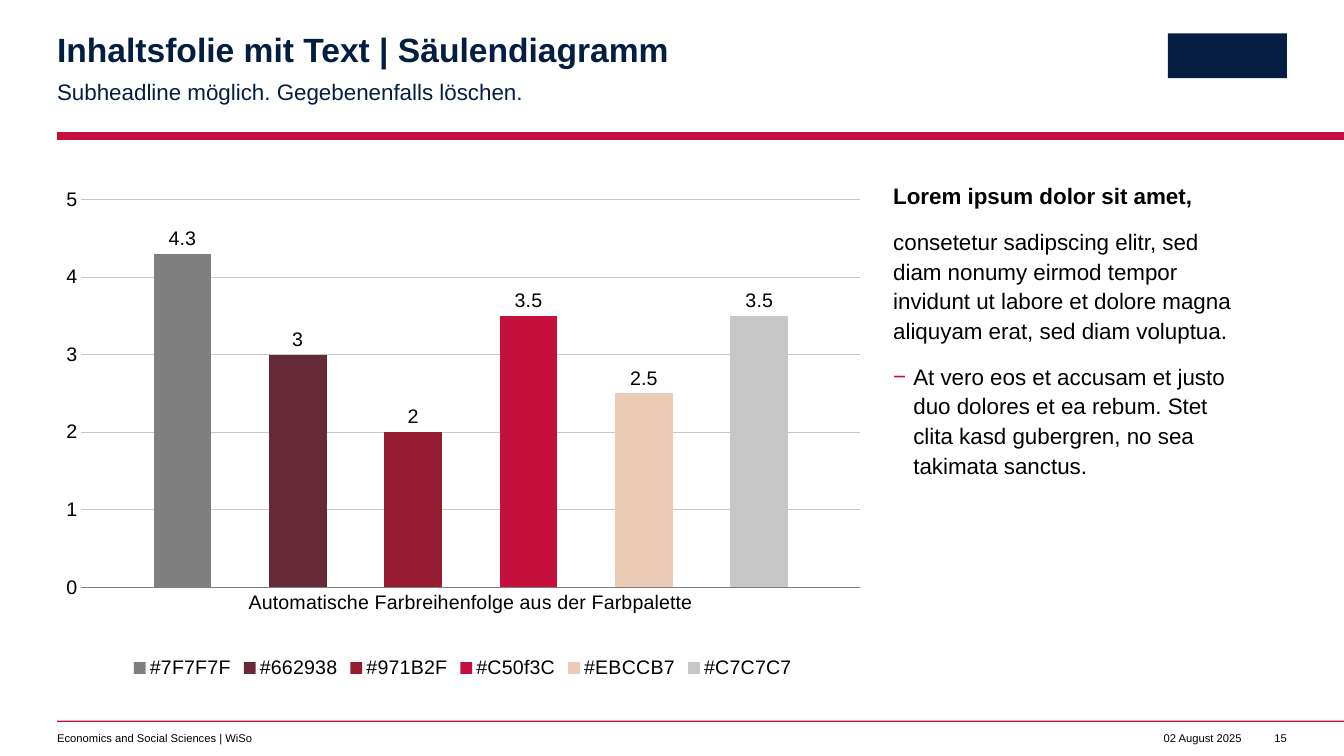
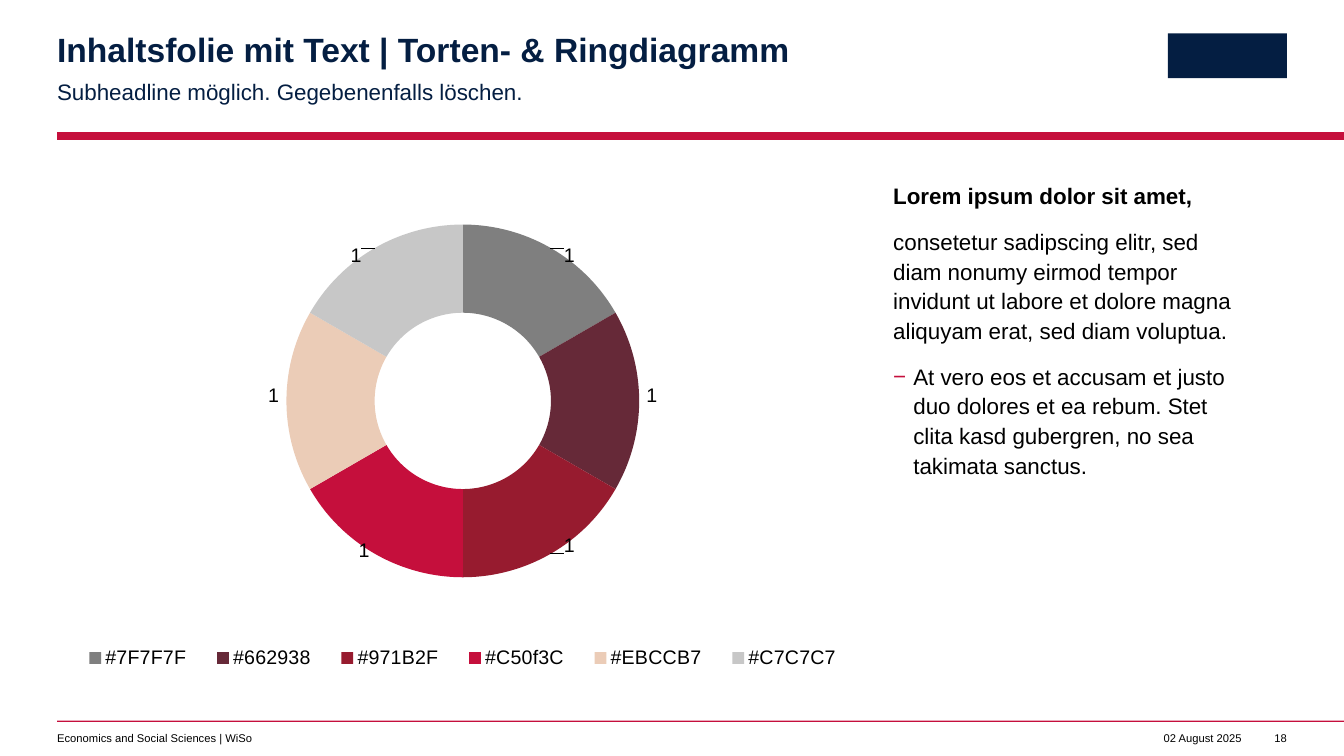
from dataclasses import dataclass
from typing import Callable, Optional

import lxml.etree
import pptx
import pptx.chart.chart
import pptx.chart.data
import pptx.dml.color
import pptx.enum.chart
import pptx.enum.shapes
import pptx.enum.text
import pptx.oxml
import pptx.oxml.ns
import pptx.presentation
import pptx.slide
import pptx.text.text
import pptx.util

Pt = pptx.util.Pt
RGBColor = pptx.dml.color.RGBColor
Align = pptx.enum.text.PP_ALIGN
ChartType = pptx.enum.chart.XL_CHART_TYPE

# Shared style
FONT = "Arial"
NAVY = RGBColor(0x04, 0x1E, 0x42)
RED = RGBColor(0xC5, 0x0F, 0x3C)
BLACK = RGBColor(0x00, 0x00, 0x00)
GRAY = RGBColor(0x7F, 0x7F, 0x7F)
LIGHT_GRAY = RGBColor(0xC7, 0xC7, 0xC7)
PLUM = RGBColor(0x66, 0x29, 0x38)
DARK_RED = RGBColor(0x97, 0x1B, 0x2F)
SAND = RGBColor(0xEB, 0xCC, 0xB7)
PALETTE = {
    "#7F7F7F": GRAY,
    "#662938": PLUM,
    "#971B2F": DARK_RED,
    "#C50f3C": RED,
    "#EBCCB7": SAND,
    "#C7C7C7": LIGHT_GRAY,
}


@dataclass(frozen=True)
class Box:
    """A rectangle on the slide, in points."""

    left: float
    top: float
    width: float
    height: float

    def lengths(self) -> tuple:
        return Pt(self.left), Pt(self.top), Pt(self.width), Pt(self.height)


@dataclass(frozen=True)
class Band:
    box: Box
    color: RGBColor


@dataclass(frozen=True)
class FooterItem:
    box: Box
    text: str
    alignment: Align = Align.RIGHT
    wrap: bool = False


@dataclass(frozen=True)
class BodyParagraph:
    text: str
    bold: bool = False
    bullet: Optional[str] = None


@dataclass(frozen=True)
class ChartSlide:
    title: str
    number: str
    add_chart: Callable[[pptx.slide.Slide], None]


# Page geometry
PAGE_WIDTH, PAGE_HEIGHT = 960, 540
MARGIN = 40.8
RIGHT_EDGE = PAGE_WIDTH - MARGIN
FOOTER_TOP, FOOTER_HEIGHT = 522.7, 9.6
TITLE_BOX = Box(MARGIN, 23.8, 539, 26)
SUBHEADLINE_BOX = Box(MARGIN, 54, 539, 19.4)
CHART_BOX = Box(MARGIN, 128, 579.6, 360)
BODY_BOX = Box(638, 128, RIGHT_EDGE - 638, 360)

BANDS = (
    Band(Box(MARGIN, 94.3, RIGHT_EDGE, 5.7), RED),
    Band(Box(MARGIN, 514.8, RIGHT_EDGE, 0.8), RED),
    # Plain block in the logo position
    Band(Box(RIGHT_EDGE - 85, 23.8, 85, 32), NAVY),
)
FOOTER_ITEMS = (
    FooterItem(
        Box(MARGIN, FOOTER_TOP, 430, FOOTER_HEIGHT),
        "Economics and Social Sciences | WiSo",
        Align.LEFT,
        True,
    ),
    FooterItem(Box(820, FOOTER_TOP, 67, FOOTER_HEIGHT), "02 August 2025"),
)
NUMBER_BOX = Box(RIGHT_EDGE - 15, FOOTER_TOP, 15, FOOTER_HEIGHT)
SUBHEADLINE = "Subheadline möglich. Gegebenenfalls löschen."
BODY = (
    BodyParagraph("Lorem ipsum dolor sit amet,", bold=True),
    BodyParagraph(
        "consetetur sadipscing elitr, sed diam nonumy eirmod tempor invidunt "
        "ut labore et dolore magna aliquyam erat, sed diam voluptua."
    ),
    BodyParagraph(
        "At vero eos et accusam et justo duo dolores et ea rebum. "
        "Stet clita kasd gubergren, no sea takimata sanctus.",
        bullet="−",
    ),
)


# Text
def prepare_frame(shape, box: Box, right_inset: float = 0, wrap: bool = True) -> pptx.text.text.TextFrame:
    shape.left, shape.top, shape.width, shape.height = box.lengths()
    frame = shape.text_frame
    frame.margin_left = frame.margin_top = frame.margin_bottom = 0
    frame.margin_right = Pt(right_inset)
    frame.vertical_anchor = pptx.enum.text.MSO_ANCHOR.TOP
    frame.auto_size = pptx.enum.text.MSO_AUTO_SIZE.NONE
    frame.word_wrap = wrap
    return frame


def set_font(font: pptx.text.text.Font, size: float, color: RGBColor = BLACK, bold: bool = False) -> None:
    font.name = FONT
    font.size = Pt(size)
    font.bold = bold
    font.color.rgb = color


def set_bullet(paragraph, bullet: Optional[str]) -> None:
    properties = paragraph._p.get_or_add_pPr()
    indent = Pt(14.4) if bullet else 0
    properties.set("marL", str(int(indent)))
    properties.set("indent", str(-int(indent)))
    qualified = pptx.oxml.ns.qn
    if bullet is None:
        lxml.etree.SubElement(properties, qualified("a:buNone"))
        return
    color = lxml.etree.SubElement(properties, qualified("a:buClr"))
    lxml.etree.SubElement(color, qualified("a:srgbClr")).set("val", str(RED))
    lxml.etree.SubElement(properties, qualified("a:buChar")).set("char", bullet)


def add_text(
    frame: pptx.text.text.TextFrame,
    text: str,
    *,
    size: float,
    color: RGBColor = BLACK,
    bold: bool = False,
    alignment: Align = Align.LEFT,
    line_spacing: float = 1.0,
    space_after: float = 0,
    bullet: Optional[str] = None,
) -> None:
    first = frame.paragraphs[0]
    paragraph = frame.add_paragraph() if first.text else first
    paragraph.alignment = alignment
    paragraph.level = 1 if bullet else 0
    paragraph.line_spacing = line_spacing
    paragraph.space_before = Pt(0)
    paragraph.space_after = Pt(space_after)
    set_bullet(paragraph, bullet)
    run = paragraph.add_run()
    run.text = text
    set_font(run.font, size, color, bold)


# Charts
def set_layout(parent, index: int, *, mode: str = "", **fractions: float) -> None:
    """Place a chart part by fractions of the chart area."""
    for previous in parent.findall(pptx.oxml.ns.qn("c:layout")):
        parent.remove(previous)
    settings = {"layoutTarget": "inner"} if mode == "inner" else {}
    if mode:
        settings.update(xMode="edge", yMode="edge")
    settings.update(fractions)
    children = "".join(f'<c:{name} val="{value}"/>' for name, value in settings.items())
    layout = pptx.oxml.parse_xml(
        f'<c:layout {pptx.oxml.ns.nsdecls("c")}><c:manualLayout>{children}</c:manualLayout></c:layout>'
    )
    parent.insert(index, layout)


def insert_chart(
    slide: pptx.slide.Slide, chart_type: ChartType, data: pptx.chart.data.CategoryChartData
) -> pptx.chart.chart.Chart:
    chart = slide.shapes.add_chart(chart_type, *CHART_BOX.lengths(), data).chart
    set_font(chart.font, 14)
    chart.has_title = False
    chart.has_legend = True
    chart.legend.position = pptx.enum.chart.XL_LEGEND_POSITION.BOTTOM
    chart.legend.include_in_layout = False
    set_font(chart.legend.font, 14)
    for series in chart.plots[0].series:
        series.data_labels.show_value = True
        set_font(series.data_labels.font, 14)
    return chart


def fill_solid(target, color: RGBColor) -> None:
    target.format.fill.solid()
    target.format.fill.fore_color.rgb = color


def add_column_chart(slide: pptx.slide.Slide) -> None:
    data = pptx.chart.data.CategoryChartData()
    data.categories = ["Automatische Farbreihenfolge aus der Farbpalette"]
    for name, value in zip(PALETTE, (4.3, 3, 2, 3.5, 2.5, 3.5)):
        data.add_series(name, [value])
    chart = insert_chart(slide, ChartType.COLUMN_CLUSTERED, data)
    plot = chart.plots[0]
    plot.gap_width, plot.overlap, plot.vary_by_categories = 250, -100, False
    for series, color in zip(plot.series, PALETTE.values()):
        fill_solid(series, color)
        series.data_labels.position = pptx.enum.chart.XL_LABEL_POSITION.OUTSIDE_END
    for axis in (chart.category_axis, chart.value_axis):
        axis.major_tick_mark = axis.minor_tick_mark = pptx.enum.chart.XL_TICK_MARK.NONE
        set_font(axis.tick_labels.font, 14)
    value_axis = chart.value_axis
    value_axis.minimum_scale, value_axis.maximum_scale, value_axis.major_unit = 0, 5, 1
    value_axis.format.line.fill.background()
    for line, color in (
        (chart.category_axis.format.line, GRAY),
        (value_axis.major_gridlines.format.line, LIGHT_GRAY),
    ):
        line.color.rgb = color
        line.width = Pt(0.5)
    set_layout(chart.element.xpath("//c:plotArea")[0], 0, mode="inner", x=0.03, y=0.04, w=0.96, h=0.77)


def add_doughnut_chart(slide: pptx.slide.Slide) -> None:
    data = pptx.chart.data.CategoryChartData()
    data.categories = list(PALETTE)
    data.add_series("Series 1", [1] * len(PALETTE))
    chart = insert_chart(slide, ChartType.DOUGHNUT, data)
    points = chart.plots[0].series[0].points
    for index, color in enumerate(PALETTE.values()):
        fill_solid(points[index], color)
        set_font(points[index].data_label.font, 14)
    # Labels pushed outward from the ring
    offsets = ((0.05, -0.06), (0.07, -0.01), (0.05, 0.06), (-0.04, 0.07), (-0.07, -0.01), (-0.05, -0.06))
    for label, (x, y) in zip(chart.element.xpath("//c:dLbl"), offsets):
        set_layout(label, 1, x=x, y=y)
    chart.element.xpath("//c:holeSize")[0].set("val", "80")
    set_layout(chart.element.xpath("//c:plotArea")[0], 0, mode="inner", x=0.21, y=0.09, w=0.58, h=0.7)
    set_layout(chart.element.xpath("//c:legend")[0], 1, mode="edge", x=0.01, y=0.91, w=0.98, h=0.08)


# Slides
def add_frame(slide: pptx.slide.Slide, number: str) -> None:
    """Draw the bands and the footer that every slide carries."""
    for band in BANDS:
        shape = slide.shapes.add_shape(pptx.enum.shapes.MSO_SHAPE.RECTANGLE, *band.box.lengths())
        shape.shadow.inherit = False
        shape.fill.solid()
        shape.fill.fore_color.rgb = band.color
        shape.line.fill.background()
    for item in (*FOOTER_ITEMS, FooterItem(NUMBER_BOX, number)):
        text_box = slide.shapes.add_textbox(*item.box.lengths())
        frame = prepare_frame(text_box, item.box, wrap=item.wrap)
        add_text(frame, item.text, size=8, alignment=item.alignment)


def add_chart_slide(presentation: pptx.presentation.Presentation, content: ChartSlide) -> None:
    slide = presentation.slides.add_slide(presentation.slide_layouts.get_by_name("Two Content"))
    add_frame(slide, content.number)
    title, subheadline, body = slide.placeholders
    add_text(prepare_frame(title, TITLE_BOX), content.title, size=24, color=NAVY, bold=True, line_spacing=0.9)
    frame = prepare_frame(subheadline, SUBHEADLINE_BOX, right_inset=28)
    add_text(frame, SUBHEADLINE, size=16, color=NAVY, line_spacing=1.1, space_after=12)
    frame = prepare_frame(body, BODY_BOX, right_inset=28)
    for entry in BODY:
        add_text(
            frame, entry.text, size=16, bold=entry.bold, bullet=entry.bullet, line_spacing=1.1, space_after=12
        )
    content.add_chart(slide)


def main() -> None:
    presentation = pptx.Presentation()
    presentation.slide_width, presentation.slide_height = Pt(PAGE_WIDTH), Pt(PAGE_HEIGHT)
    for content in (
        ChartSlide("Inhaltsfolie mit Text | Säulendiagramm", "15", add_column_chart),
        ChartSlide("Inhaltsfolie mit Text | Torten- & Ringdiagramm", "18", add_doughnut_chart),
    ):
        add_chart_slide(presentation, content)
    presentation.save("out.pptx")


if __name__ == "__main__":
    main()
